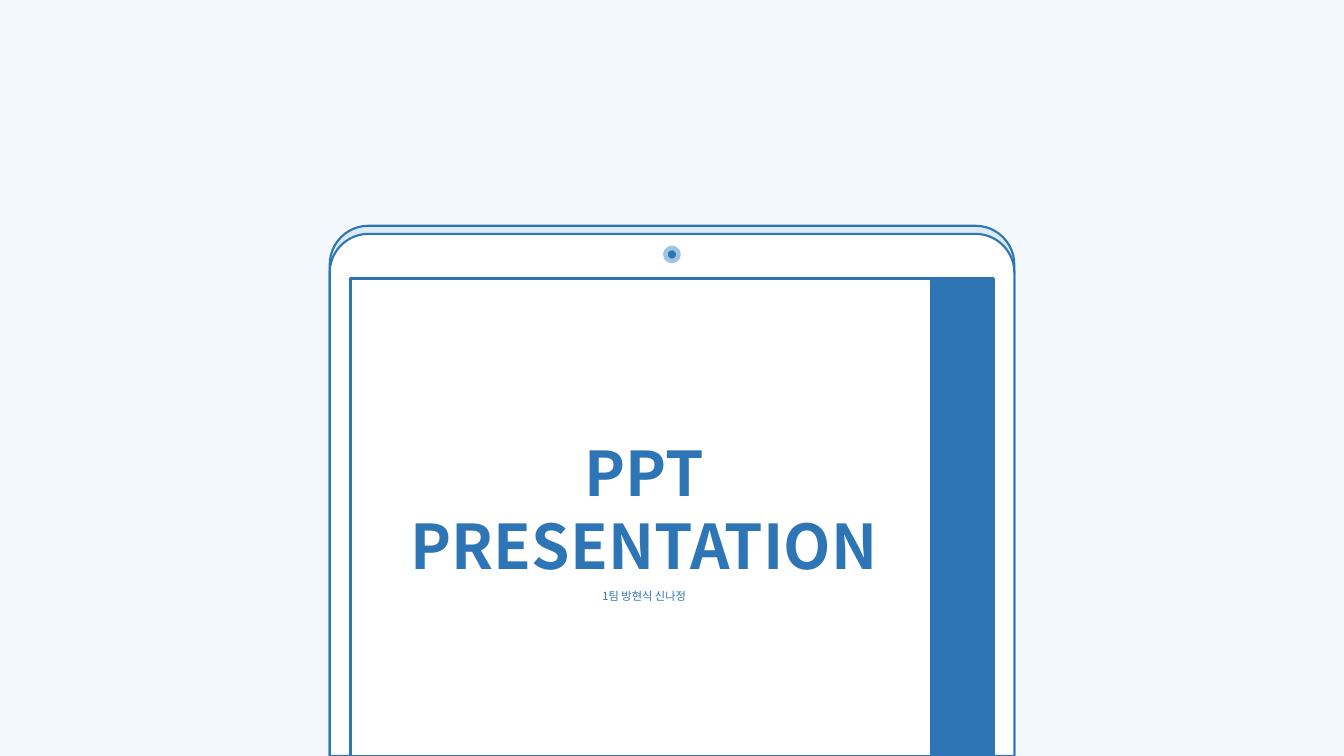
from lxml import etree
from pptx import Presentation
from pptx.dml.color import RGBColor
from pptx.enum.shapes import MSO_SHAPE
from pptx.enum.text import MSO_ANCHOR, MSO_AUTO_SIZE, PP_ALIGN
from pptx.oxml.ns import qn
from pptx.util import Inches, Pt

ROUNDED_TOP = MSO_SHAPE.ROUND_2_SAME_RECTANGLE
RECTANGLE = MSO_SHAPE.RECTANGLE
OVAL = MSO_SHAPE.OVAL
TOP = MSO_ANCHOR.TOP
GROW = MSO_AUTO_SIZE.SHAPE_TO_FIT_TEXT
CENTER = PP_ALIGN.CENTER

FONT = "Noto Sans CJK KR"
BLUE = "2E75B6"
LIGHT_BLUE = "9DC3E6"
PALE_BLUE = "DEEBF7"
WHITE = "FFFFFF"
BACKGROUND = "F3F8FC"
CORNER_RADIUS = 0.385
TITLE_LINES = [
    ("PPT PRESENTATION", {"size": Pt(44), "bold": True}, {"alignment": CENTER}),
    ("1팀 방현식 신나정", {"size": Pt(8), "bold": False},
     {"alignment": CENTER, "line_spacing": 1.5}),
]


def paint(color_format, color):
    color_format.rgb = RGBColor.from_string(color)


def apply_format(target, values):
    for name, value in values.items():
        setattr(target, name, value)


def add_part(slide, preset, box, fill, line, line_width):
    part = slide.shapes.add_shape(preset, *map(Inches, box))
    part.shadow.inherit = False
    part.fill.solid()
    paint(part.fill.fore_color, fill)
    paint(part.line.color, line)
    part.line.width = Pt(line_width)
    return part


def add_tablet(slide, left, top, width, height):
    rim = 0.08
    for inset, fill in ((0, PALE_BLUE), (rim, WHITE)):
        box = (left, top + inset, width, height - inset)
        body = add_part(slide, ROUNDED_TOP, box, fill, BLUE, 1.5)
        body.adjustments[0] = CORNER_RADIUS / (height - inset)
        body.adjustments[1] = 0

    bezel, screen_offset, band_width = 0.21, 0.52, 0.61
    screen_top, screen_height = top + screen_offset, height - screen_offset
    screen_width = width - 2 * bezel
    band_left = left + width - bezel - band_width
    add_part(slide, RECTANGLE, (left + bezel, screen_top, screen_width, screen_height),
             WHITE, BLUE, 2)
    add_part(slide, RECTANGLE, (band_left, screen_top, band_width, screen_height),
             BLUE, BLUE, 2)

    lens = 0.13
    add_part(slide, OVAL, (left + (width - lens) / 2, top + 0.22, lens, lens),
             BLUE, LIGHT_BLUE, 3.25)


def add_title(slide, left, top, width, height):
    title = slide.shapes.title
    apply_format(title, {"left": Inches(left), "top": Inches(top),
                         "width": Inches(width), "height": Inches(height)})
    frame = title.text_frame
    apply_format(frame, {"word_wrap": True, "vertical_anchor": TOP, "auto_size": GROW})
    frame.text = "\n".join(text for text, _, _ in TITLE_LINES)
    for paragraph, (_, font_format, paragraph_format) in zip(frame.paragraphs, TITLE_LINES):
        apply_format(paragraph, paragraph_format)
        run = paragraph.runs[0]
        apply_format(run.font, {"name": FONT, **font_format})
        paint_font(run)
    tree = slide.shapes._spTree
    tree.append(title._element)


def paint_font(run):
    run.font.fill.solid()
    paint(run.font.fill.fore_color, BLUE)
    etree.SubElement(run._r.get_or_add_rPr(), qn("a:ea"), typeface=FONT)


def build_cover(presentation):
    slide = presentation.slides.add_slide(presentation.slide_layouts[5])
    slide.background.fill.solid()
    paint(slide.background.fill.fore_color, BACKGROUND)
    add_tablet(slide, 3.27, 2.24, 6.79, 5.26)
    add_title(slide, 3.74, 4.26, 5.3, 1.07)


def main():
    presentation = Presentation()
    apply_format(presentation, {"slide_width": Inches(13.33), "slide_height": Inches(7.5)})
    build_cover(presentation)
    presentation.save("out.pptx")


if __name__ == "__main__":
    main()
